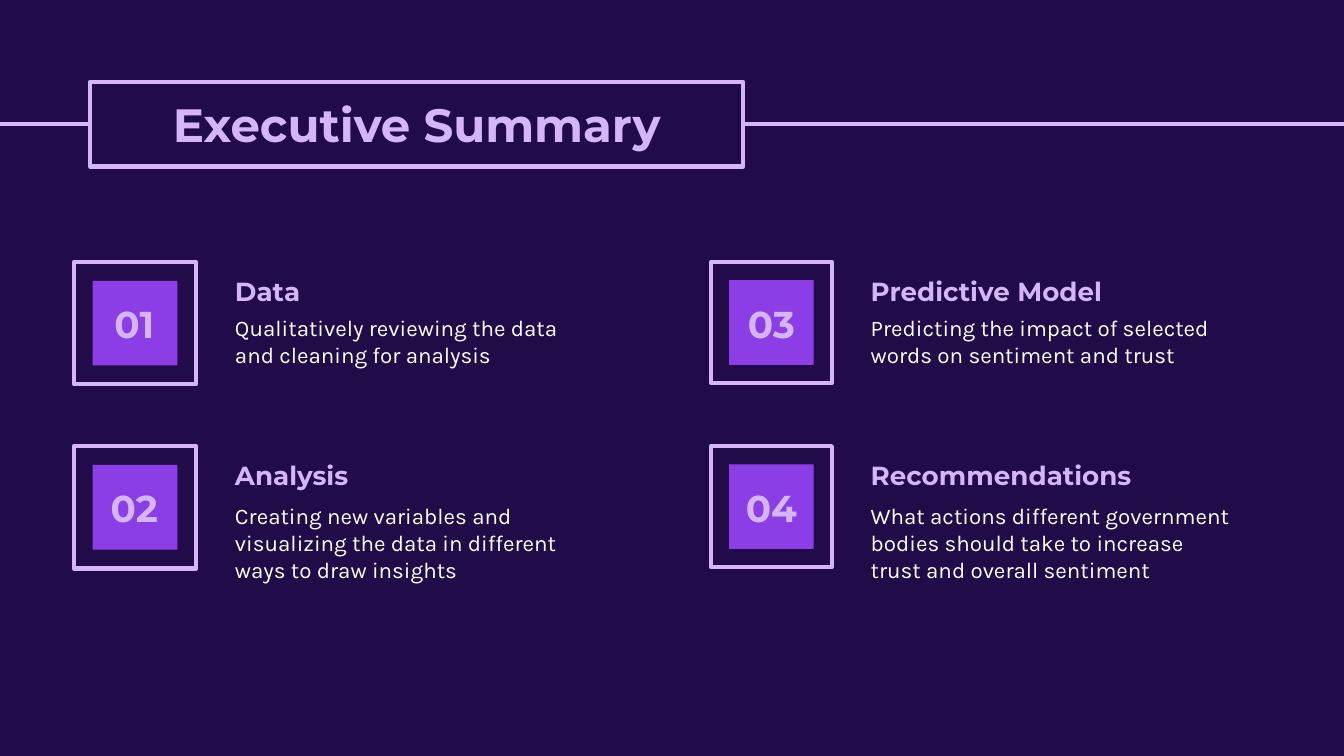
import pptx
import pptx.util
import pptx.dml.color
import pptx.enum.shapes
import pptx.enum.text
import pptx.oxml.ns
import lxml.etree

Inches = pptx.util.Inches
ALIGN = pptx.enum.text.PP_ALIGN
ANCHOR = pptx.enum.text.MSO_ANCHOR
RECTANGLE = pptx.enum.shapes.MSO_SHAPE.RECTANGLE

rgb = pptx.dml.color.RGBColor.from_string
theme = {
    "night": rgb("220B49"),
    "lilac": rgb("D4B6F6"),
    "violet": rgb("8C3EE6"),
    "outline": pptx.util.Pt(2.25),
    "title": {"name": "Montserrat", "size": pptx.util.Pt(25), "bold": True, "color": rgb("D4B6F6")},
    "number": {"name": "Montserrat", "size": pptx.util.Pt(20), "bold": True, "color": rgb("D4B6F6")},
    "heading": {"name": "Montserrat", "size": pptx.util.Pt(14), "bold": True, "color": rgb("D4B6F6")},
    "body": {"name": "Karla", "size": pptx.util.Pt(12), "bold": False, "color": rgb("FFFFFF")},
}


def add_rectangle(shapes, left, top, width, height, fill=None, outlined=False):
    box = shapes.add_shape(RECTANGLE, Inches(left), Inches(top), Inches(width), Inches(height))
    box.shadow.inherit = False
    if fill is None:
        box.fill.background()
    else:
        box.fill.solid()
        box.fill.fore_color.rgb = fill
    if outlined:
        box.line.color.rgb = theme["lilac"]
        box.line.width = theme["outline"]
    else:
        box.line.fill.background()
    return box


def write_text(box, text, style, align=ALIGN.LEFT, anchor=ANCHOR.TOP):
    frame = box.text_frame
    frame_format = {"word_wrap": True, "vertical_anchor": anchor}
    for side in ("left", "top", "right", "bottom"):
        frame_format[f"margin_{side}"] = Inches(0.1)
    for name, value in frame_format.items():
        setattr(frame, name, value)
    para = frame.paragraphs[0]
    para.alignment = align
    span = para.add_run()
    span.text = text
    for name, value in theme[style].items():
        if name == "color":
            span.font.color.rgb = value
        else:
            setattr(span.font, name, value)


# Page (16:9) and background
deck = pptx.Presentation()
deck.slide_width = Inches(10)
deck.slide_height = Inches(10 * 9 / 16)
page = deck.slides.add_slide(deck.slide_layouts[6])
page.background.fill.solid()
page.background.fill.fore_color.rgb = theme["night"]

# Rule that runs behind the title
rule = page.shapes.add_connector(
    pptx.enum.shapes.MSO_CONNECTOR.STRAIGHT, Inches(-0.06), Inches(0.92), Inches(10), Inches(0.92))
rule.line.color.rgb = theme["lilac"]
rule.line.width = theme["outline"]
lxml.etree.SubElement(rule._element.spPr, pptx.oxml.ns.qn("a:effectLst"))

# Title
title = add_rectangle(page.shapes, 0.67, 0.61, 4.86, 0.63, theme["night"], outlined=True)
write_text(title, "Executive Summary", "title", ALIGN.CENTER, ANCHOR.MIDDLE)

# Numbered topics: two columns, filled downwards
columns = [(0.55, 1.65, 0.91), (5.29, 6.38, 0.9)]  # left of badge, left of text, badge size
rows = [(1.95, 0.29), (3.32, 0.32)]  # top, drop from heading to body
topics = [
    ("Data", "Qualitatively reviewing the data and cleaning for analysis"),
    ("Analysis", "Creating new variables and visualizing the data in different ways to draw insights"),
    ("Predictive Model", "Predicting the impact of selected words on sentiment and trust"),
    ("Recommendations", "What actions different government bodies should take to increase trust "
                        "and overall sentiment"),
]
core_size = 0.63

for index, (heading, body) in enumerate(topics):
    badge_left, text_left, badge_size = columns[index // 2]
    top, body_drop = rows[index % 2]
    core_inset = (badge_size - core_size) / 2

    # Badge: frame and core
    badge = page.shapes.add_group_shape()
    add_rectangle(badge.shapes, badge_left, top, badge_size, badge_size, outlined=True)
    add_rectangle(badge.shapes, badge_left + core_inset, top + core_inset,
                  core_size, core_size, theme["violet"])

    # Number, heading and body
    texts = [
        (f"{index + 1:02}", "number", badge_left, top + 0.24, 0.9, 0.43, ALIGN.CENTER, ANCHOR.MIDDLE),
        (heading, "heading", text_left, top, 2.91, 0.52, ALIGN.LEFT, ANCHOR.TOP),
        (body, "body", text_left, top + body_drop, 2.91, 0.66, ALIGN.LEFT, ANCHOR.TOP),
    ]
    for text, style, left, text_top, width, height, align, anchor in texts:
        box = page.shapes.add_textbox(Inches(left), Inches(text_top), Inches(width), Inches(height))
        write_text(box, text, style, align, anchor)

deck.save("out.pptx")
